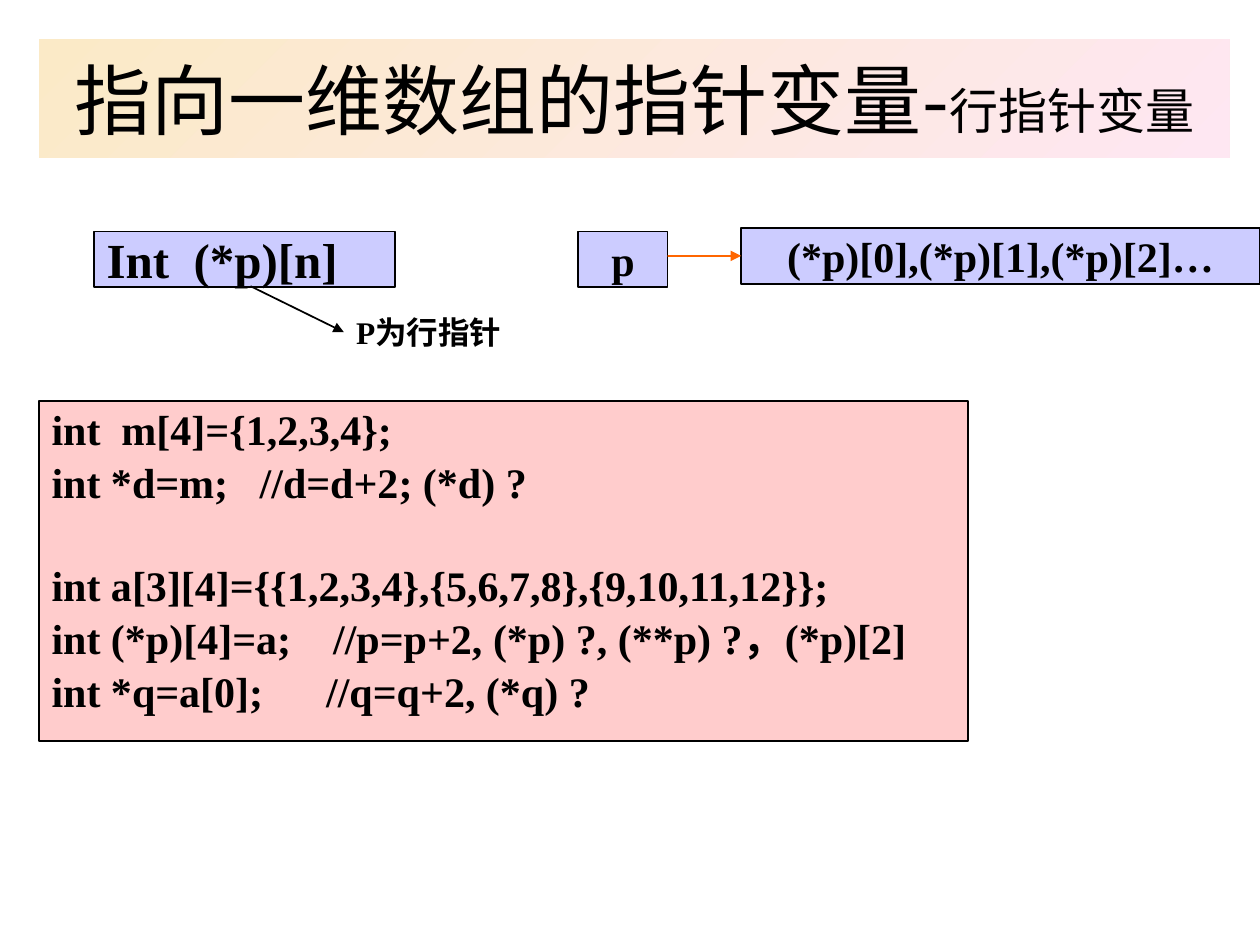
from dataclasses import dataclass

from lxml.etree import SubElement
from pptx import Presentation
from pptx.dml.color import RGBColor
from pptx.enum.shapes import MSO_CONNECTOR as Connector, MSO_SHAPE as Preset
from pptx.enum.text import MSO_ANCHOR as Anchor, MSO_AUTO_SIZE as AutoSize, PP_ALIGN as Align
from pptx.oxml.ns import qn
from pptx.util import Cm, Pt


@dataclass(frozen=True)
class Theme:
    ink: RGBColor = RGBColor.from_string("000000")
    accent: RGBColor = RGBColor.from_string("FF6600")
    lilac: RGBColor = RGBColor.from_string("CCCCFF")
    pink: RGBColor = RGBColor.from_string("FFCCCC")
    banner: tuple = (RGBColor.from_string("FBEAC7"), RGBColor.from_string("FEE7F2"))
    sans: str = "Noto Sans CJK SC"
    serif: str = "Times New Roman"
    title: Pt = Pt(44)
    large: Pt = Pt(28)
    code: Pt = Pt(24)
    note: Pt = Pt(18)


THEME = Theme()
CODE_LINES = (
    ("int  m[4]={1,2,3,4};", 0),
    ("int *d=m;   //d=d+2; (*d) ?", 0),
    ("int a[3][4]={{1,2,3,4},{5,6,7,8},{9,10,11,12}};", 29),
    ("int (*p)[4]=a;    //p=p+2, (*p) ?, (**p) ?，(*p)[2]", 0),
    ("int *q=a[0];      //q=q+2, (*q) ?", 0),
)


def apply(target, values):
    for name, value in values.items():
        setattr(target, name, value)


def write(para, text, size, family=THEME.serif, bold=True):
    span = para.add_run()
    span.text = text
    apply(span.font, {"size": size, "name": family, "bold": bold})
    span.font.color.rgb = THEME.ink
    east_asian = SubElement(span.font._element, qn("a:ea"))
    east_asian.set("typeface", THEME.sans)


def set_frame(box, wrap=True, anchor=Anchor.MIDDLE):
    apply(box.text_frame, {
        "word_wrap": wrap, "auto_size": AutoSize.NONE, "vertical_anchor": anchor,
        "margin_left": Cm(0.25), "margin_right": Cm(0.25),
        "margin_top": Cm(0.13), "margin_bottom": Cm(0.13),
    })


def add_title(page):
    title = page.shapes.title
    apply(title, {"left": Cm(0.79), "top": Cm(0.79), "width": Cm(24), "height": Cm(2.39)})
    title.fill.gradient()
    title.fill.gradient_angle = 315
    for stop, color in zip(title.fill.gradient_stops, THEME.banner):
        stop.color.rgb = color
    set_frame(title, wrap=False)
    para = title.text_frame.paragraphs[0]
    para.alignment = Align.CENTER
    write(para, "指向一维数组的指针变量-", THEME.title, THEME.sans, False)
    write(para, "行指针变量", THEME.large, THEME.sans, False)


def add_panel(page, area, fill):
    box = page.shapes.add_shape(Preset.RECTANGLE, *map(Cm, area))
    box.shadow.inherit = False
    box.fill.solid()
    box.fill.fore_color.rgb = fill
    box.line.color.rgb = THEME.ink
    box.line.width = Pt(1)
    set_frame(box)
    return box


def add_cell(page, area, text, size, align=Align.CENTER):
    box = add_panel(page, area, THEME.lilac)
    para = box.text_frame.paragraphs[0]
    para.alignment = align
    write(para, text, size)
    return box


def add_note(page, area, text):
    box = page.shapes.add_textbox(*map(Cm, area))
    set_frame(box, wrap=False)
    write(box.text_frame.paragraphs[0], text, THEME.note)
    return box


def add_code(page, area):
    box = add_panel(page, area, THEME.pink)
    set_frame(box, anchor=Anchor.TOP)
    frame = box.text_frame
    frame.margin_top = 0
    for index, (text, gap) in enumerate(CODE_LINES):
        para = frame.add_paragraph() if index else frame.paragraphs[0]
        apply(para, {"alignment": Align.LEFT, "line_spacing": 1.05})
        if gap:
            para.space_before = Pt(gap)
        write(para, text, THEME.code)


def add_arrow(page, start, target, color):
    x, y = map(Cm, start)
    arrow = page.shapes.add_connector(Connector.STRAIGHT, x, y, x, y)
    arrow.end_connect(target, 1)
    arrow.line.color.rgb = color
    arrow.line.width = Pt(1)
    SubElement(arrow.line._get_or_add_ln(), qn("a:tailEnd"), type="triangle")
    SubElement(arrow._element.spPr, qn("a:effectLst"))


def main():
    deck = Presentation()
    apply(deck, {"slide_width": Cm(25.4), "slide_height": Cm(19.05)})
    page = deck.slides.add_slide(deck.slide_layouts[5])
    add_title(page)
    add_cell(page, (1.9, 4.67, 6.07, 1.12), "Int  (*p)[n]", THEME.large, Align.LEFT)
    note = add_note(page, (6.93, 5.77, 3.23, 1.85), "P为行指针")
    add_arrow(page, (5.05, 5.77), note, THEME.ink)
    add_code(page, (0.79, 8.08, 18.72, 6.86))
    row = add_cell(page, (14.94, 4.6, 10.46, 1.12), "(*p)[0],(*p)[1],(*p)[2]…", THEME.code)
    add_cell(page, (11.66, 4.67, 1.8, 1.12), "p", THEME.code)
    add_arrow(page, (13.46, 5.16), row, THEME.accent)
    deck.save("out.pptx")


if __name__ == "__main__":
    main()
